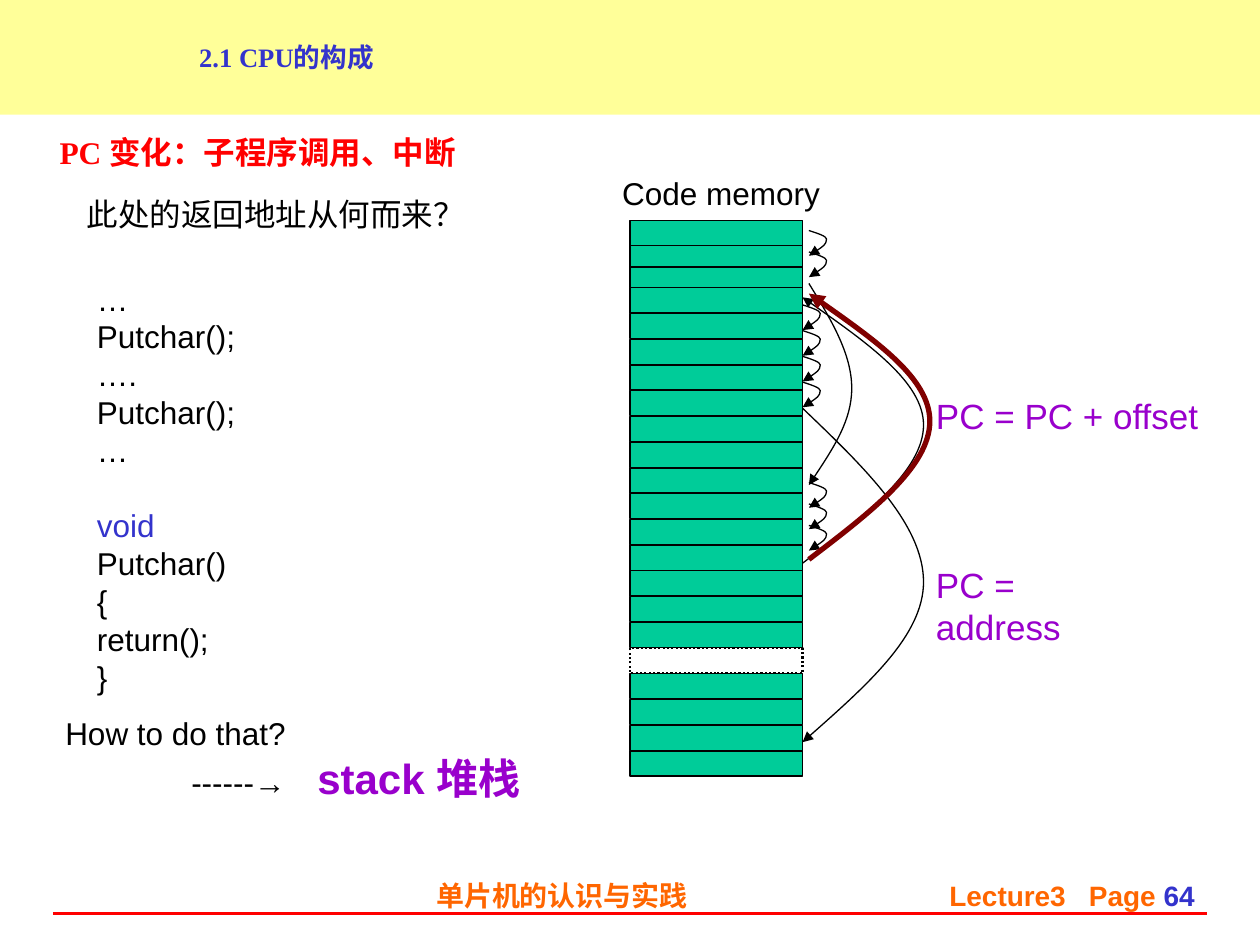
from lxml import etree
from pptx import Presentation
from pptx.dml.color import RGBColor
from pptx.enum.dml import MSO_LINE
from pptx.enum.shapes import MSO_CONNECTOR, MSO_SHAPE
from pptx.enum.text import MSO_ANCHOR, PP_ALIGN
from pptx.oxml.ns import qn
from pptx.util import Inches, Pt

LEFT, CENTER, RIGHT = PP_ALIGN.LEFT, PP_ALIGN.CENTER, PP_ALIGN.RIGHT
MIDDLE = MSO_ANCHOR.MIDDLE
DOTTED = MSO_LINE.ROUND_DOT
RECTANGLE = MSO_SHAPE.RECTANGLE
STRAIGHT = MSO_CONNECTOR.STRAIGHT
SERIF, SANS = "Times New Roman", "Arial"
BLACK, RED, BLUE, PURPLE, ORANGE = "000000", "FF0000", "3333CC", "9900CC", "FF6600"
GREEN, MAROON, YELLOW = "00CC99", "800000", "FFFF99"


def rgb(value):
    return RGBColor.from_string(value)


class LectureSlide:
    """Draws styled lecture elements on the current slide."""

    def __init__(self, slide):
        self.slide = slide
        self.shapes = slide.shapes

    def style_font(self, font, size=None, color=None, bold=None, name=None):
        if size:
            font.size = Pt(size)
        if color:
            font.color.rgb = rgb(color)
        if bold is not None:
            font.bold = bold
        if name:
            font.name = name

    def title(self, text, height, indent):
        title = self.shapes.title
        title.left, title.top = Inches(0), Inches(0)
        title.width, title.height = Inches(10), Inches(height)
        title.fill.solid()
        title.fill.fore_color.rgb = rgb(YELLOW)
        frame = title.text_frame
        frame.text = text
        frame.vertical_anchor = MIDDLE
        frame.margin_left = Inches(indent)
        heading = frame.paragraphs[0]
        heading.alignment = LEFT
        self.style_font(heading.font, 15.2, BLUE, True, SERIF)

    def text(self, box, paragraphs, size=18, color=BLACK, bold=False, name=SANS,
             align=LEFT, wrap=False, tabs=(), leading=None, gaps=None):
        frame = self.shapes.add_textbox(*map(Inches, box)).text_frame
        frame.word_wrap = wrap
        for index, runs in enumerate(paragraphs):
            paragraph = frame.paragraphs[0] if index == 0 else frame.add_paragraph()
            paragraph.alignment = align
            if leading:
                paragraph.line_spacing = Pt(leading)
            if gaps and index in gaps:
                paragraph.space_before = Pt(gaps[index])
            if tabs:
                tab_list = etree.SubElement(paragraph._p.get_or_add_pPr(), qn("a:tabLst"))
                for stop in tabs:
                    etree.SubElement(tab_list, qn("a:tab"), pos=str(Inches(stop)), algn="l")
            self.style_font(paragraph.font, size, color, bold, name)
            for content, override in runs:
                run = paragraph.add_run()
                run.text = content
                self.style_font(run.font, **override)

    def cell(self, top, filled=True):
        cell = self.shapes.add_shape(
            RECTANGLE, Inches(5), Inches(top), Inches(1.37), Inches(0.2))
        cell.shadow.inherit = False
        cell.line.color.rgb = rgb(BLACK)
        if filled:
            cell.fill.solid()
            cell.fill.fore_color.rgb = rgb(GREEN)
            cell.line.width = Pt(0.75)
        else:
            cell.fill.background()
            cell.line.width = Pt(1.25)
            cell.line.dash_style = DOTTED

    def jump(self, x, start, end, bulge, peak=0.52, color=BLACK, weight=0.75):
        x, start, end, bulge = map(Inches, (x, start, end, bulge))
        height = end - start
        builder = self.shapes.build_freeform(x, start)
        builder.add_line_segments(
            [(x + bulge, start + int(height * peak)), (x, end)], close=False)
        arc = builder.convert_to_shape()
        arc.shadow.inherit = False
        arc.fill.background()
        arc.line.color.rgb = rgb(color)
        arc.line.width = Pt(weight)
        etree.SubElement(arc.line._get_or_add_ln(), qn("a:tailEnd"), type="triangle")

        outline = next(arc._element.iter(qn("a:path")))
        for segment in outline.findall(qn("a:lnTo")):
            outline.remove(segment)
        rest = 1 - peak
        curves = (
            ((0.5, peak / 3), (1, peak * 2 / 3), (1, peak)),
            ((1, peak + rest / 3), (0.5, peak + rest * 2 / 3), (0, 1)),
        )
        origin = max(0, -height)
        for points in curves:
            curve = etree.SubElement(outline, qn("a:cubicBezTo"))
            for across, down in points:
                etree.SubElement(curve, qn("a:pt"), x=str(int(bulge * across)),
                                 y=str(int(origin + height * down)))

    def hop(self, x, start):
        self.jump(x, start, start + 0.2, 0.14, peak=0.34)

    def rule(self, left, right, y):
        rule = self.shapes.add_connector(
            STRAIGHT, Inches(left), Inches(y), Inches(right), Inches(y))
        rule.line.color.rgb = rgb(RED)
        rule.line.width = Pt(2.25)
        etree.SubElement(rule._element.spPr, qn("a:effectLst"))


def plain(*lines):
    return [[(line, {})] for line in lines]


def main():
    deck = Presentation()
    deck.slide_width, deck.slide_height = Inches(10), Inches(7.5)
    page = LectureSlide(deck.slides.add_slide(deck.slide_layouts[5]))

    page.title("2.1 CPU的构成", 0.91, 1.58)
    page.rule(0.42, 9.58, 7.25)
    page.text((6.92, 6.92, 2.66, 0.42), [[("Lecture3   Page ", {}), ("64", {"color": BLUE})]],
              16, ORANGE, True, align=RIGHT, wrap=True)
    page.text((2.5, 6.92, 3.92, 0.42), plain("单片机的认识与实践"),
              16, ORANGE, True, align=CENTER, wrap=True)
    page.text((7.33, 4.42, 1.89, 0.44), plain("PC = address"), 20, PURPLE)
    page.text((7.33, 3.08, 2.29, 0.44), plain("PC = PC + offset"), 20, PURPLE)

    near, far = 6.37, 6.42
    first_row, row_count, gap_row = 2.08, 20, 15
    pitch = (5.96 - first_row) / (row_count - 1)
    page.jump(far, 2.25, 3.85, 0.34)
    page.jump(near, 4.47, 2.36, 0.96)
    page.jump(near, 3.24, 5.89, 0.96)
    for step in range(4):
        page.hop(near, 2.42 + step * pitch)
    for start in (1.83, 2, 3.83, 4, 4.17):
        page.hop(far, start)
    for row in range(row_count):
        page.cell(first_row + row * pitch, filled=row != gap_row)
    for top in (1.92, 1.75):
        page.cell(top)
    page.text((4.84, 1.33, 1.77, 0.4), plain("Code memory"))
    page.jump(far, 4.44, 2.33, 0.96, color=MAROON, weight=3)

    page.text((0.42, 5.62, 4.27, 1.2),
              [[("How to do that?", {})],
               [("\t------→ \t", {}),
                ("stack 堆栈", {"size": 24, "color": PURPLE, "bold": True})]],
              wrap=True, tabs=range(1, 8))
    page.text((0.59, 1.5, 3.2, 0.4), plain("此处的返回地址从何而来？"))
    page.text((0.67, 2.17, 1.75, 3.1),
              plain("…", "Putchar();", "….", "Putchar();", "…")
              + [[("void ", {"color": BLUE}), ("Putchar()", {})]]
              + plain("{", "return();", "}"),
              leading=21.6, gaps={5: 21.6})
    page.text((0.29, 1.01, 3.51, 0.5), plain("PC 变化：子程序调用、中断"),
              18, RED, True, SERIF, CENTER, wrap=True)

    deck.save("out.pptx")


if __name__ == "__main__":
    main()
